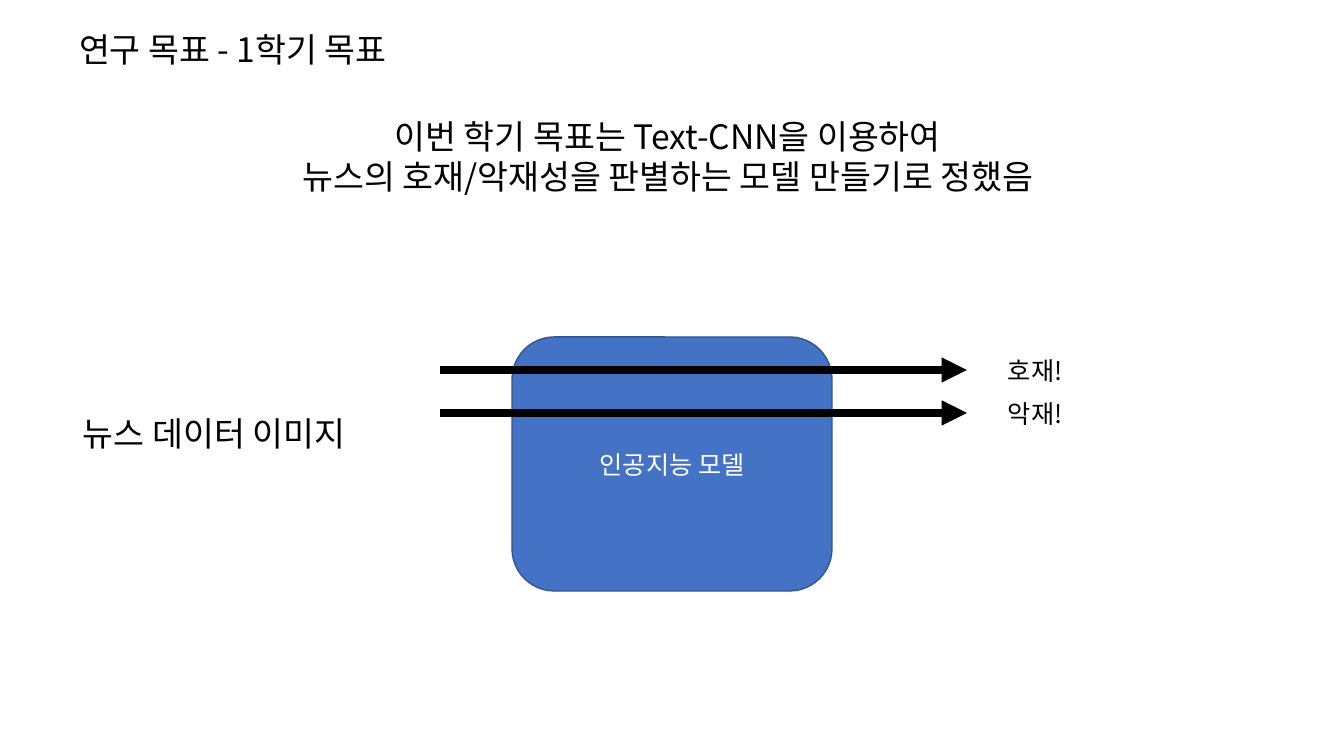
from lxml import etree
from pptx import Presentation
from pptx import util as u
from pptx.dml.color import RGBColor
from pptx.enum import shapes, text
from pptx.oxml.ns import qn

TITLE = "연구 목표 - 1학기 목표"
GOAL = ["이번 학기 목표는 Text-CNN을 이용하여 ",
        "뉴스의 호재/악재성을 판별하는 모델 만들기로 정했음 "]
NEWS_INPUT = "뉴스 데이터 이미지"
MODEL = "인공지능 모델"
VERDICTS = ["호재!", "악재!"]

FONT = "Noto Sans CJK KR"
BLACK = RGBColor(0x00, 0x00, 0x00)
WHITE = RGBColor(0xFF, 0xFF, 0xFF)
BLUE = RGBColor(0x44, 0x72, 0xC4)
DARK_BLUE = RGBColor(0x32, 0x54, 0x91)

SLIDE_W, SLIDE_H = 1344, 756
PX = u.Inches(7.5) / SLIDE_H

ARROW_LEFT, ARROW_RIGHT = 440, 967
FIRST_ARROW_Y, ARROW_STEP = 370, 43
VERDICT_LEFT, VERDICT_W, VERDICT_H = 998, 80, 40


def px(*lengths):
    return [u.Emu(round(length * PX)) for length in lengths]


def write(shape, lines, size=24, color=BLACK, align=text.PP_ALIGN.CENTER,
          anchor=text.MSO_ANCHOR.TOP, wrap=True):
    frame = shape.text_frame
    frame.word_wrap = wrap
    frame.auto_size = text.MSO_AUTO_SIZE.NONE
    frame.vertical_anchor = anchor
    frame.text = "\n".join(lines)
    for paragraph in frame.paragraphs:
        paragraph.alignment = align
        for run in paragraph.runs:
            run.font.size = u.Pt(size)
            run.font.color.rgb = color
            run.font.name = FONT
            east_asian = etree.SubElement(run.font._element, qn("a:ea"))
            east_asian.set("typeface", FONT)


def add_arrow(slide, y):
    arrow = slide.shapes.add_connector(
        shapes.MSO_CONNECTOR.STRAIGHT, *px(ARROW_LEFT, y, ARROW_RIGHT, y))
    arrow.line.color.rgb = BLACK
    arrow.line.width = u.Pt(6)
    etree.SubElement(arrow.line._get_or_add_ln(), qn("a:tailEnd"), type="triangle")
    etree.SubElement(arrow._element.spPr, qn("a:effectLst"))


def main():
    deck = Presentation()
    deck.slide_width, deck.slide_height = px(SLIDE_W, SLIDE_H)
    slide = deck.slides.add_slide(deck.slide_layouts.get_by_name("Title Only"))

    title = slide.shapes.title
    title.left, title.top, title.width, title.height = px(69, 24, 381, 50)
    write(title, [TITLE], align=text.PP_ALIGN.LEFT)

    goal = slide.shapes.add_textbox(*px(144, 111, 1055, 92))
    write(goal, GOAL)

    news_input = slide.shapes.add_textbox(*px(4, 408, 420, 50))
    write(news_input, [NEWS_INPUT])

    model = slide.shapes.add_shape(
        shapes.MSO_SHAPE.ROUNDED_RECTANGLE, *px(512, 337, 320, 254))
    model.shadow.inherit = False
    model.fill.solid()
    model.fill.fore_color.rgb = BLUE
    model.line.color.rgb = DARK_BLUE
    model.line.width = u.Pt(1)
    write(model, [MODEL], size=18, color=WHITE, anchor=text.MSO_ANCHOR.MIDDLE)

    for i, verdict in enumerate(VERDICTS):
        y = FIRST_ARROW_Y + i * ARROW_STEP
        add_arrow(slide, y)
        label = slide.shapes.add_textbox(
            *px(VERDICT_LEFT, y - VERDICT_H / 2, VERDICT_W, VERDICT_H))
        write(label, [verdict], size=18, align=text.PP_ALIGN.LEFT, wrap=False)

    deck.save("out.pptx")


if __name__ == "__main__":
    main()
